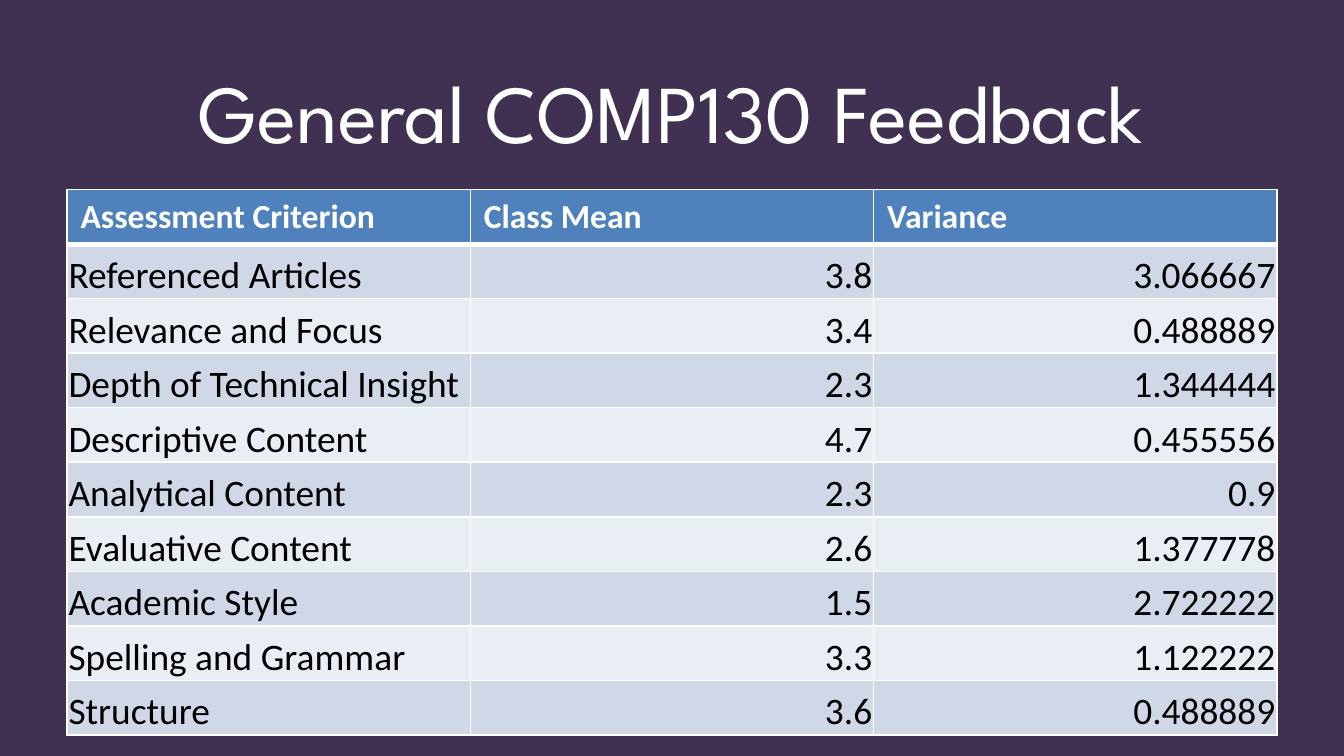
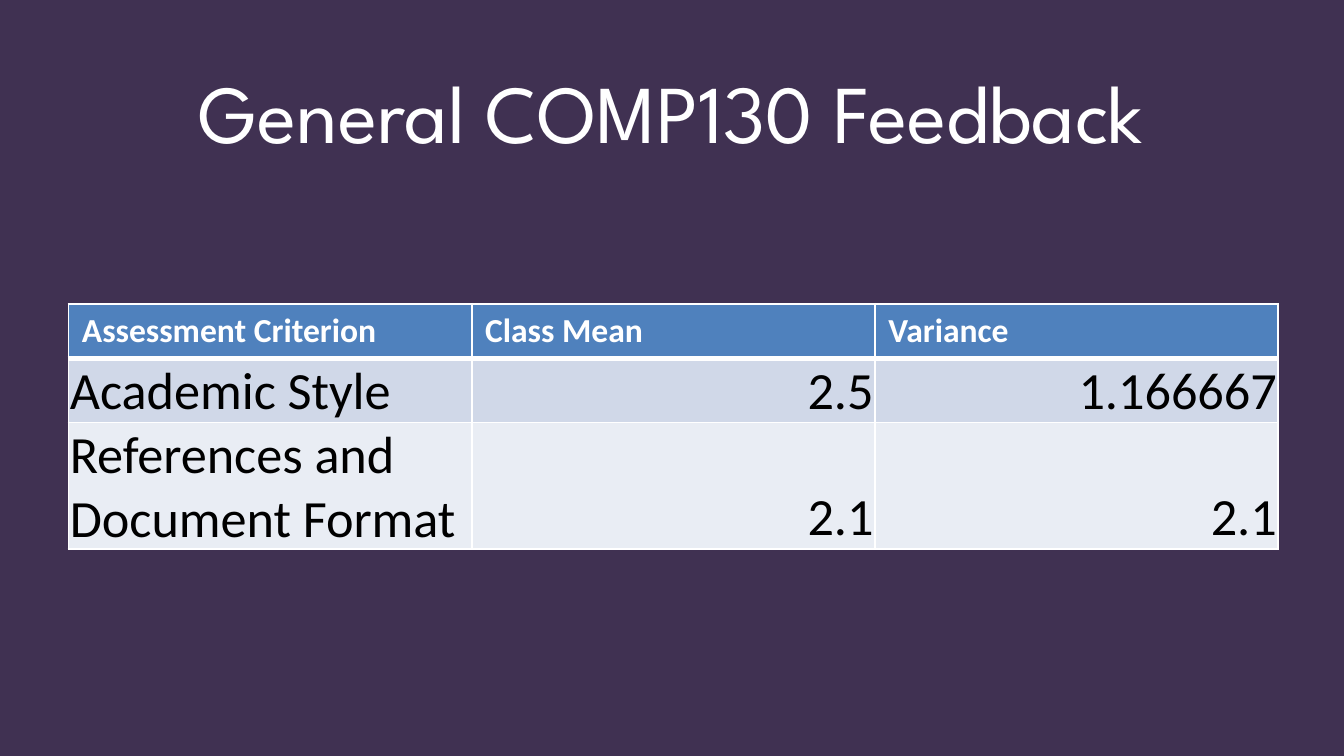
from lxml import etree
from pptx import Presentation
from pptx.dml.color import RGBColor
from pptx.enum.text import MSO_ANCHOR, PP_ALIGN
from pptx.oxml.ns import qn
from pptx.util import Inches, Pt

MIDDLE, BOTTOM = MSO_ANCHOR.MIDDLE, MSO_ANCHOR.BOTTOM
LEFT, CENTER, RIGHT = PP_ALIGN.LEFT, PP_ALIGN.CENTER, PP_ALIGN.RIGHT

COLORS = {
    "background": "403152",
    "header": "4F81BD",
    "odd_row": "D0D8E8",
    "even_row": "E9EDF4",
    "light": "FFFFFF",
    "dark": "000000",
}
TITLE_FONT, TABLE_FONT = "League Spartan", "Calibri"
TITLE = "General COMP130 Feedback"
TITLE_BOX = (0.5, 0.35, 9, 0.94)
ROW_HEIGHT = 0.406
HEADINGS = ("Assessment Criterion", "Class Mean", "Variance")
ESSAY_SCORES = [
    ("Referenced Articles", "3.8", "3.066667"),
    ("Relevance and Focus", "3.4", "0.488889"),
    ("Depth of Technical Insight", "2.3", "1.344444"),
    ("Descriptive Content", "4.7", "0.455556"),
    ("Analytical Content", "2.3", "0.9"),
    ("Evaluative Content", "2.6", "1.377778"),
    ("Academic Style", "1.5", "2.722222"),
    ("Spelling and Grammar", "3.3", "1.122222"),
    ("Structure", "3.6", "0.488889"),
]
FORMAT_SCORES = [
    ("Academic Style", "2.5", "1.166667"),
    ("References and Document Format", "2.1", "2.1"),
]


def color(name):
    return RGBColor.from_string(COLORS[name])


def style_paragraph(para, font, size, tint, align, bold=False):
    para.alignment = align
    para.font.name = font
    para.font.size = Pt(size)
    para.font.bold = bold
    para.font.color.rgb = color(tint)


def add_title(page, box):
    frame = page.shapes.add_textbox(*map(Inches, box)).text_frame
    frame.word_wrap = True
    frame.vertical_anchor = MIDDLE
    frame.text = TITLE
    style_paragraph(frame.paragraphs[0], TITLE_FONT, 44, "light", CENTER)


def add_borders(cell, bottom_width):
    properties = cell._tc.get_or_add_tcPr()
    widths = {"a:lnL": 1, "a:lnR": 1, "a:lnT": 1, "a:lnB": bottom_width}
    for side, width in widths.items():
        line = etree.SubElement(properties, qn(side), w=str(Pt(width)))
        fill = etree.SubElement(line, qn("a:solidFill"))
        etree.SubElement(fill, qn("a:srgbClr"), val=COLORS["light"])


def fill_cell(cell, text, fill, is_header):
    add_borders(cell, 3 if is_header else 1)
    cell.fill.solid()
    cell.fill.fore_color.rgb = color(fill)
    cell.text = text
    if not is_header:
        cell.vertical_anchor = BOTTOM
        cell.margin_left = cell.margin_right = cell.margin_top = Inches(0.01)
        cell.margin_bottom = 0


def add_score_table(page, box, scores, size):
    rows = [HEADINGS, *scores]
    holder = page.shapes.add_table(len(rows), len(HEADINGS), *map(Inches, box))
    table = holder.table
    for row_index, values in enumerate(rows):
        table.rows[row_index].height = Inches(ROW_HEIGHT)
        is_header = row_index == 0
        band = "odd_row" if row_index % 2 else "even_row"
        for column_index, text in enumerate(values):
            cell = table.cell(row_index, column_index)
            fill_cell(cell, text, "header" if is_header else band, is_header)
            para = cell.text_frame.paragraphs[0]
            if is_header:
                style_paragraph(para, TABLE_FONT, 18, "light", LEFT, True)
            else:
                align = RIGHT if column_index else LEFT
                style_paragraph(para, TABLE_FONT, size, "dark", align)
    holder.height = Inches(box[3])


def add_feedback_slide(deck, table_box, scores, size):
    page = deck.slides.add_slide(deck.slide_layouts[6])
    page.background.fill.solid()
    page.background.fill.fore_color.rgb = color("background")
    add_title(page, TITLE_BOX)
    add_score_table(page, table_box, scores, size)


def main():
    deck = Presentation()
    deck.slide_width, deck.slide_height = Inches(10), Inches(5.625)
    add_feedback_slide(deck, (0.5, 1.41, 9, 4.06), ESSAY_SCORES, 20)
    add_feedback_slide(deck, (0.51, 2.26, 9, 1.83), FORMAT_SCORES, 28)
    deck.save("out.pptx")


if __name__ == "__main__":
    main()
